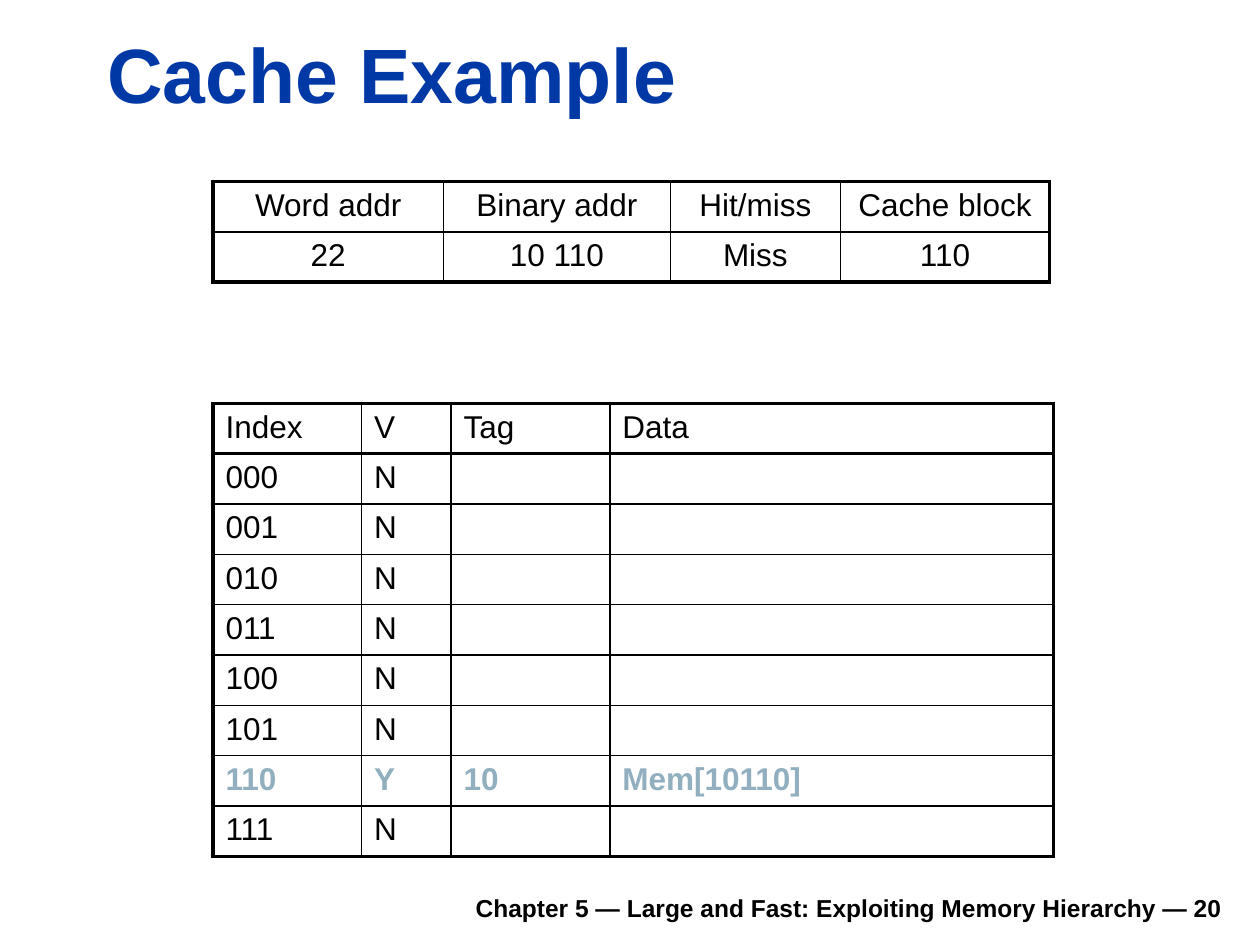
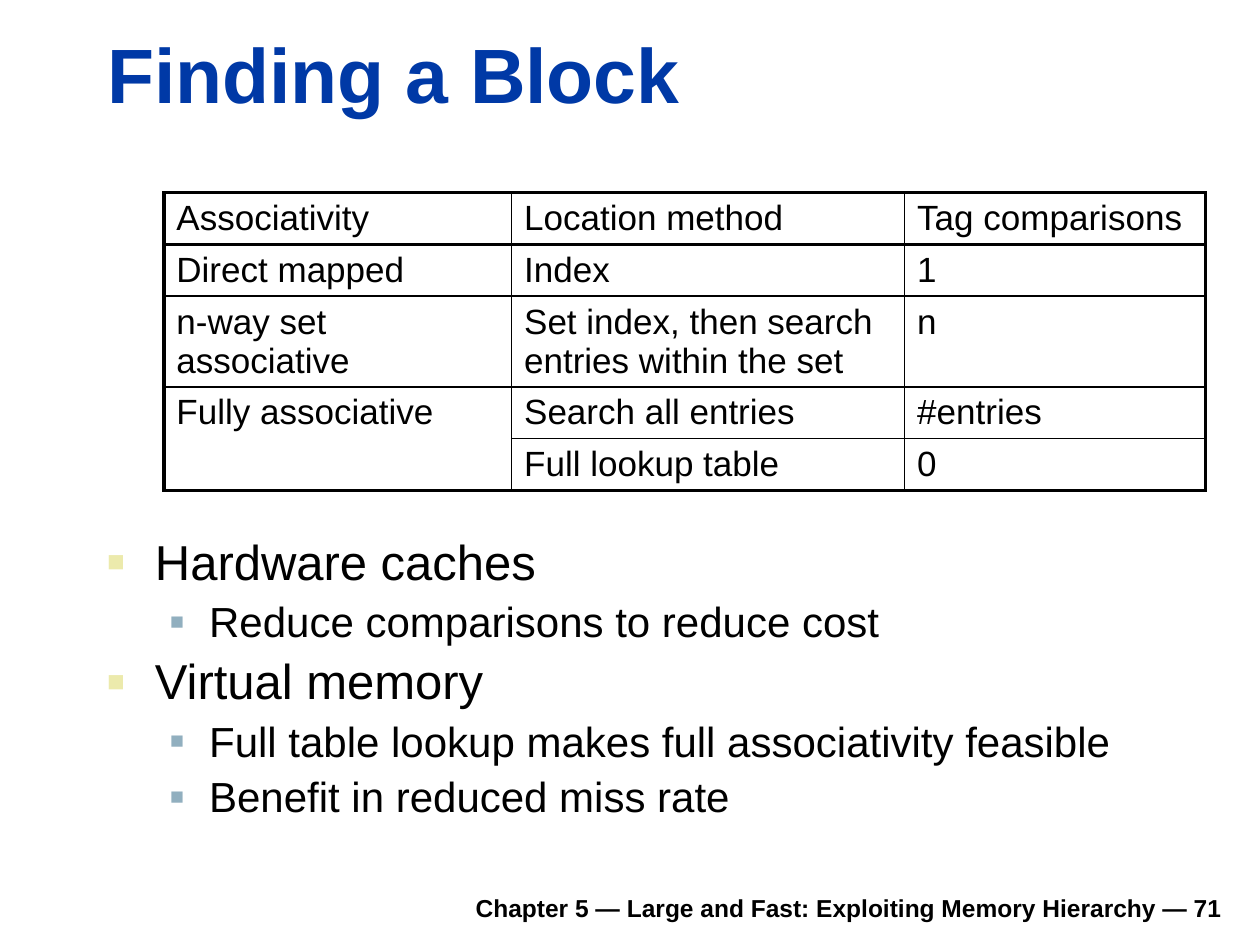
from dataclasses import dataclass
from typing import Optional

from lxml import etree
from pptx import Presentation, util as u
from pptx.dml.color import RGBColor
from pptx.enum import text as t
from pptx.oxml import ns

SLIDE_WIDTH, SLIDE_HEIGHT = u.Inches(10), u.Inches(7.5)
FONT = "Arial"
BLACK, TITLE_BLUE, STEEL, SAND = "000000", "0039A6", "91AFBF", "ECEAAC"
OUTER, UNDER_HEADER, INNER = 2.25, 1.5, 1
CHAPTER = "Chapter 5 — Large and Fast: Exploiting Memory Hierarchy"
TITLE_ONLY, TITLE_AND_BODY = 5, 1


@dataclass(frozen=True)
class Area:
    """Left, top, width and height in percent of the slide."""
    left: float
    top: float
    width: float
    height: float

    def lengths(self) -> tuple:
        return (across(self.left), down(self.top),
                across(self.width), down(self.height))


@dataclass(frozen=True)
class Grid:
    """A ruled table; column and row sizes are percent of the slide.

    A row that starts with None continues the first cell above it.
    """
    left: float
    top: float
    columns: list[float]
    row_heights: list[float]
    rows: list[list[Optional[str]]]
    size: int = 18
    align: t.PP_ALIGN = t.PP_ALIGN.LEFT
    highlighted_row: Optional[int] = None


@dataclass(frozen=True)
class ListLevel:
    size: int
    margin: float
    hanging: float
    bullet_color: str
    bullet_percent: int


TITLE_AREA = Area(7.5, 2.13, 90.3, 11.07)
FOOTER_AREA = Area(18.5, 93.07, 79.5, 5.2)
LIST_AREA = Area(7.5, 56.27, 90.5, 34.67)
LIST_LEVELS = [ListLevel(28, 0.38, 0.38, SAND, 60),
               ListLevel(24, 0.81, 0.31, STEEL, 55)]


def across(percent: float) -> int:
    return round(SLIDE_WIDTH * percent / 100)


def down(percent: float) -> int:
    return round(SLIDE_HEIGHT * percent / 100)


def set_font(paragraph, size: int, color: str = BLACK, bold: bool = False) -> None:
    font = paragraph.font
    font.name, font.size, font.bold = FONT, u.Pt(size), bold
    font.color.rgb = RGBColor.from_string(color)


def place(shape, area: Area, anchor: t.MSO_ANCHOR):
    shape.left, shape.top, shape.width, shape.height = area.lengths()
    frame = shape.text_frame
    frame.word_wrap = True
    frame.auto_size = t.MSO_AUTO_SIZE.NONE
    frame.vertical_anchor = anchor
    return frame


def add_slide(deck, layout: int, title: str, number: int):
    """Add a slide with its title and the chapter footer."""
    slide = deck.slides.add_slide(deck.slide_layouts[layout])
    heading = place(slide.shapes.title, TITLE_AREA, t.MSO_ANCHOR.BOTTOM)
    heading.text = title
    heading.paragraphs[0].alignment = t.PP_ALIGN.LEFT
    set_font(heading.paragraphs[0], 44, TITLE_BLUE, bold=True)

    footer = place(slide.shapes.add_textbox(*FOOTER_AREA.lengths()),
                   FOOTER_AREA, t.MSO_ANCHOR.BOTTOM)
    footer.text = f"{CHAPTER} — {number}"
    footer.paragraphs[0].alignment = t.PP_ALIGN.RIGHT
    set_font(footer.paragraphs[0], 14, bold=True)
    return slide


def rule_cell(cell, widths: dict[str, float]) -> None:
    """Draw the cell's borders; widths maps a side (L, R, T, B) to points."""
    properties = cell._tc.get_or_add_tcPr()
    for side, width in widths.items():
        line = etree.SubElement(properties, ns.qn(f"a:ln{side}"), w=str(u.Pt(width)))
        fill = etree.SubElement(line, ns.qn("a:solidFill"))
        etree.SubElement(fill, ns.qn("a:srgbClr"), val=BLACK)


def add_grid(slide, grid: Grid) -> None:
    last_row, last_column = len(grid.rows) - 1, len(grid.columns) - 1
    area = Area(grid.left, grid.top, sum(grid.columns), sum(grid.row_heights))
    table = slide.shapes.add_table(last_row + 1, last_column + 1, *area.lengths()).table
    table.first_row = table.horz_banding = False
    for column, width in zip(table.columns, grid.columns):
        column.width = across(width)
    for row, height in zip(table.rows, grid.row_heights):
        row.height = down(height)

    for r, texts in enumerate(grid.rows):
        if texts[0] is None:
            table.cell(r - 1, 0).merge(table.cell(r, 0))
        for c, words in enumerate(texts):
            cell = table.cell(r, c)
            if words:
                cell.text = words
            paragraph = cell.text_frame.paragraphs[0]
            paragraph.alignment = grid.align
            marked = r == grid.highlighted_row
            set_font(paragraph, grid.size, STEEL if marked else BLACK, bold=marked)

    for r, texts in enumerate(grid.rows):
        for c, words in enumerate(texts):
            cell = table.cell(r, c)
            bottom_row = r + (cell.span_height if cell.is_merge_origin else 1) - 1
            widths = {
                "L": INNER if c else OUTER,
                "R": OUTER if c == last_column else INNER,
                "T": {0: OUTER, 1: UNDER_HEADER}.get(r, INNER),
                "B": OUTER if bottom_row == last_row else INNER if r else UNDER_HEADER,
            }
            if words is None:
                del widths["T"]
            rule_cell(cell, widths)
            cell.fill.background()


def add_bullet(paragraph, level: ListLevel) -> None:
    properties = paragraph._p.get_or_add_pPr()
    properties.set("marL", str(u.Inches(level.margin)))
    properties.set("indent", str(-u.Inches(level.hanging)))
    color = etree.SubElement(properties, ns.qn("a:buClr"))
    etree.SubElement(color, ns.qn("a:srgbClr"), val=level.bullet_color)
    etree.SubElement(properties, ns.qn("a:buSzPct"), val=str(level.bullet_percent * 1000))
    etree.SubElement(properties, ns.qn("a:buFont"), typeface=FONT)
    etree.SubElement(properties, ns.qn("a:buChar"), char="■")


def fill_list(slide, items: list[tuple[int, str]]) -> None:
    frame = place(slide.placeholders[1], LIST_AREA, t.MSO_ANCHOR.TOP)
    frame.text = "\n".join(words for _, words in items)
    for paragraph, (depth, _) in zip(frame.paragraphs, items):
        level = LIST_LEVELS[depth]
        paragraph.level = depth
        paragraph.line_spacing = 0.9
        paragraph.space_before = u.Pt(round(level.size * 0.23))
        add_bullet(paragraph, level)
        set_font(paragraph, level.size)


def build_cache_example(deck) -> None:
    slide = add_slide(deck, TITLE_ONLY, "Cache Example", 20)
    empty_blocks = [[f"{index:03b}", "N", "", ""] for index in range(8)]
    cache = [["Index", "V", "Tag", "Data"], *empty_blocks]
    loaded = 7
    cache[loaded] = ["110", "Y", "10", "Mem[10110]"]
    add_grid(slide, Grid(16.9, 42.67, [11.8, 7.1, 12.6, 35.2], [5.33] * 9,
                         cache, highlighted_row=loaded))
    access = [["Word addr", "Binary addr", "Hit/miss", "Cache block"],
              ["22", "10 110", "Miss", "110"]]
    add_grid(slide, Grid(16.9, 19.2, [18.3, 18, 13.5, 16.6], [5.33] * 2,
                         access, align=t.PP_ALIGN.CENTER))


def build_finding_a_block(deck) -> None:
    slide = add_slide(deck, TITLE_AND_BODY, "Finding a Block", 71)
    fill_list(slide, [
        (0, "Hardware caches"),
        (1, "Reduce comparisons to reduce cost"),
        (0, "Virtual memory"),
        (1, "Full table lookup makes full associativity feasible"),
        (1, "Benefit in reduced miss rate"),
    ])
    methods = [
        ["Associativity", "Location method", "Tag comparisons"],
        ["Direct mapped", "Index", "1"],
        ["n-way set associative", "Set index, then search entries within the set", "n"],
        ["Fully associative", "Search all entries", "#entries"],
        [None, "Full lookup table", "0"],
    ]
    add_grid(slide, Grid(13, 20.4, [27.6, 31.2, 23.9], [5.47, 5.47, 9.6, 5.47, 5.47],
                         methods, size=20))


def main() -> None:
    deck = Presentation()
    deck.slide_width, deck.slide_height = SLIDE_WIDTH, SLIDE_HEIGHT
    build_cache_example(deck)
    build_finding_a_block(deck)
    deck.save("out.pptx")


if __name__ == "__main__":
    main()
